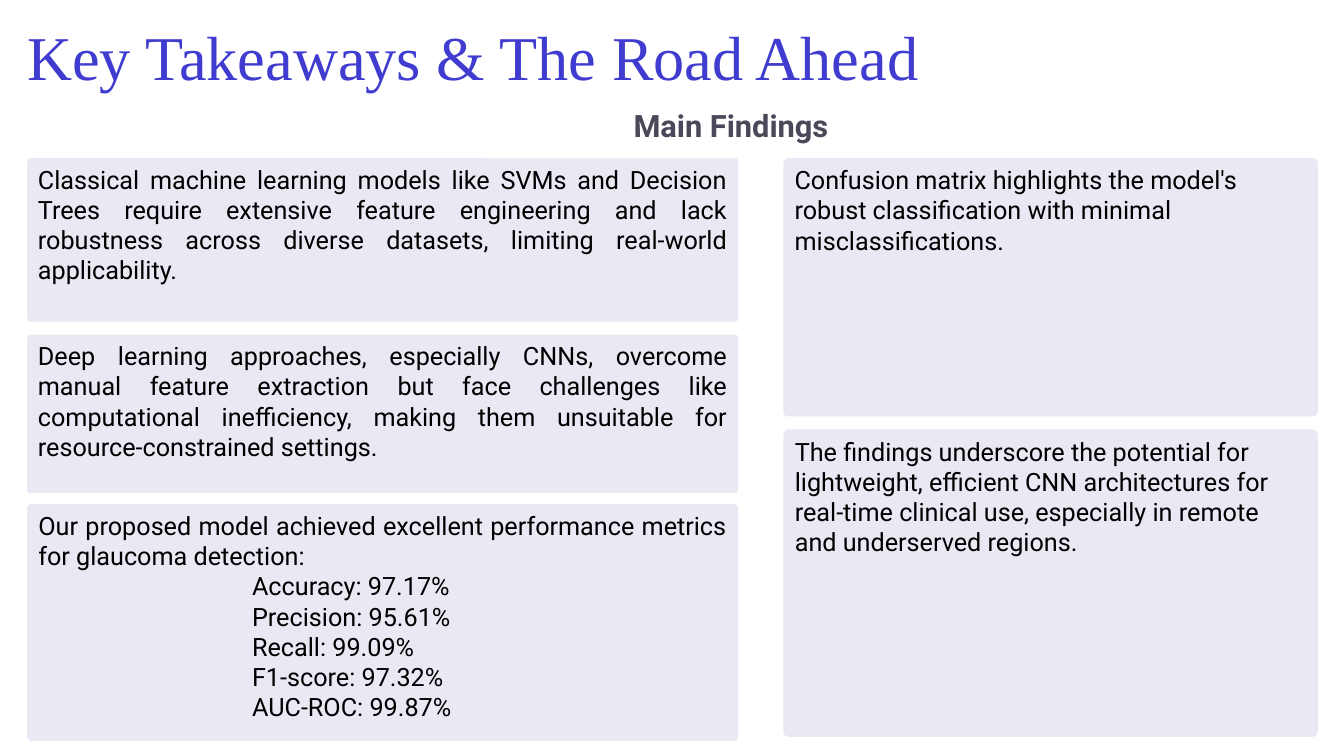
import dataclasses

import pptx
import pptx.dml.color
import pptx.enum.shapes
import pptx.enum.text
import pptx.util

PX = 9144  # EMU, 100 px to the inch
ALIGN = pptx.enum.text.PP_ALIGN


@dataclasses.dataclass(frozen=True)
class Theme:
    title_font: str = "Times New Roman"
    body_font: str = "Roboto"
    title_color: str = "403CCF"
    heading_color: str = "49495A"
    body_color: str = "000000"
    card_fill: str = "EAE8F3"
    title_size: float = 44.5
    heading_size: float = 22
    body_size: float = 18


THEME = Theme()
LEFT_X, LEFT_W = 27, 705
RIGHT_X, RIGHT_W = 777, 530
METRIC_INDENT = 212

LEFT_CARDS = [
    (157, 162, "Classical machine learning models like SVMs and Decision Trees require "
     "extensive feature engineering and lack robustness across diverse datasets, "
     "limiting real-world applicability."),
    (332, 157, "Deep learning approaches, especially CNNs, overcome manual feature "
     "extraction but face challenges like computational inefficiency, making them "
     "unsuitable for resource-constrained settings."),
    (500, 235, "Our proposed model achieved excellent performance metrics for "
     "glaucoma detection:"),
]
RIGHT_CARDS = [
    (157, 256, "Confusion matrix highlights the model's robust classification with "
     "minimal misclassifications."),
    (426, 305, "The findings underscore the potential for lightweight, efficient CNN "
     "architectures for real-time clinical use, especially in remote and "
     "underserved regions."),
]
METRICS = [
    "Accuracy: 97.17%",
    "Precision: 95.61%",
    "Recall: 99.09%",
    "F1-score: 97.32%",
    "AUC-ROC: 99.87%",
]


def rgb(value):
    return pptx.dml.color.RGBColor.from_string(value)


def px(*lengths):
    return [pptx.util.Emu(n * PX) for n in lengths]


def set_text(p, text, font, size, color, align, bold=False):
    p.text = text
    p.alignment = align
    for r in p.runs:
        r.font.name = font
        r.font.size = pptx.util.Pt(size)
        r.font.bold = bold
        r.font.color.rgb = rgb(color)


def set_body(p, text, align):
    set_text(p, text, THEME.body_font, THEME.body_size, THEME.body_color, align)


def add_label(s, box, line_pt, *text_format):
    """Add a one-line text box without margins."""
    tf = s.shapes.add_textbox(*px(*box)).text_frame
    tf.margin_left = tf.margin_top = tf.margin_right = tf.margin_bottom = 0
    tf.word_wrap = False
    p = tf.paragraphs[0]
    p.line_spacing = pptx.util.Pt(line_pt)
    set_text(p, *text_format)


def add_card(s, box, text, align):
    sp = s.shapes.add_shape(pptx.enum.shapes.MSO_SHAPE.ROUNDED_RECTANGLE, *px(*box))
    sp.adjustments[0] = 0.017
    sp.shadow.inherit = False
    sp.fill.solid()
    sp.fill.fore_color.rgb = rgb(THEME.card_fill)
    sp.line.fill.background()
    tf = sp.text_frame
    tf.word_wrap = True
    tf.vertical_anchor = pptx.enum.text.MSO_ANCHOR.TOP
    set_body(tf.paragraphs[0], text, align)
    return sp


def add_metrics(card, metrics):
    for metric in metrics:
        p = card.text_frame.add_paragraph()
        set_body(p, metric, ALIGN.JUSTIFY)
        p.level = 4
        pPr = p._p.get_or_add_pPr()
        pPr.set("marL", str(METRIC_INDENT * PX))
        pPr.set("indent", "0")


def main():
    prs = pptx.Presentation()
    prs.slide_width, prs.slide_height = px(1333, 750)
    s = prs.slides.add_slide(prs.slide_layouts[6])

    add_label(s, (27, 15, 1086, 78), 55.5, "Key Takeaways & The Road Ahead",
              THEME.title_font, THEME.title_size, THEME.title_color, ALIGN.LEFT)
    add_label(s, (570, 104, 310, 39), 27.5, "Main Findings",
              THEME.body_font, THEME.heading_size, THEME.heading_color,
              ALIGN.CENTER, True)

    for y, h, text in RIGHT_CARDS:
        add_card(s, (RIGHT_X, y, RIGHT_W, h), text, ALIGN.LEFT)
    for y, h, text in LEFT_CARDS:
        card = add_card(s, (LEFT_X, y, LEFT_W, h), text, ALIGN.JUSTIFY)
    add_metrics(card, METRICS)

    prs.save("out.pptx")


if __name__ == "__main__":
    main()
